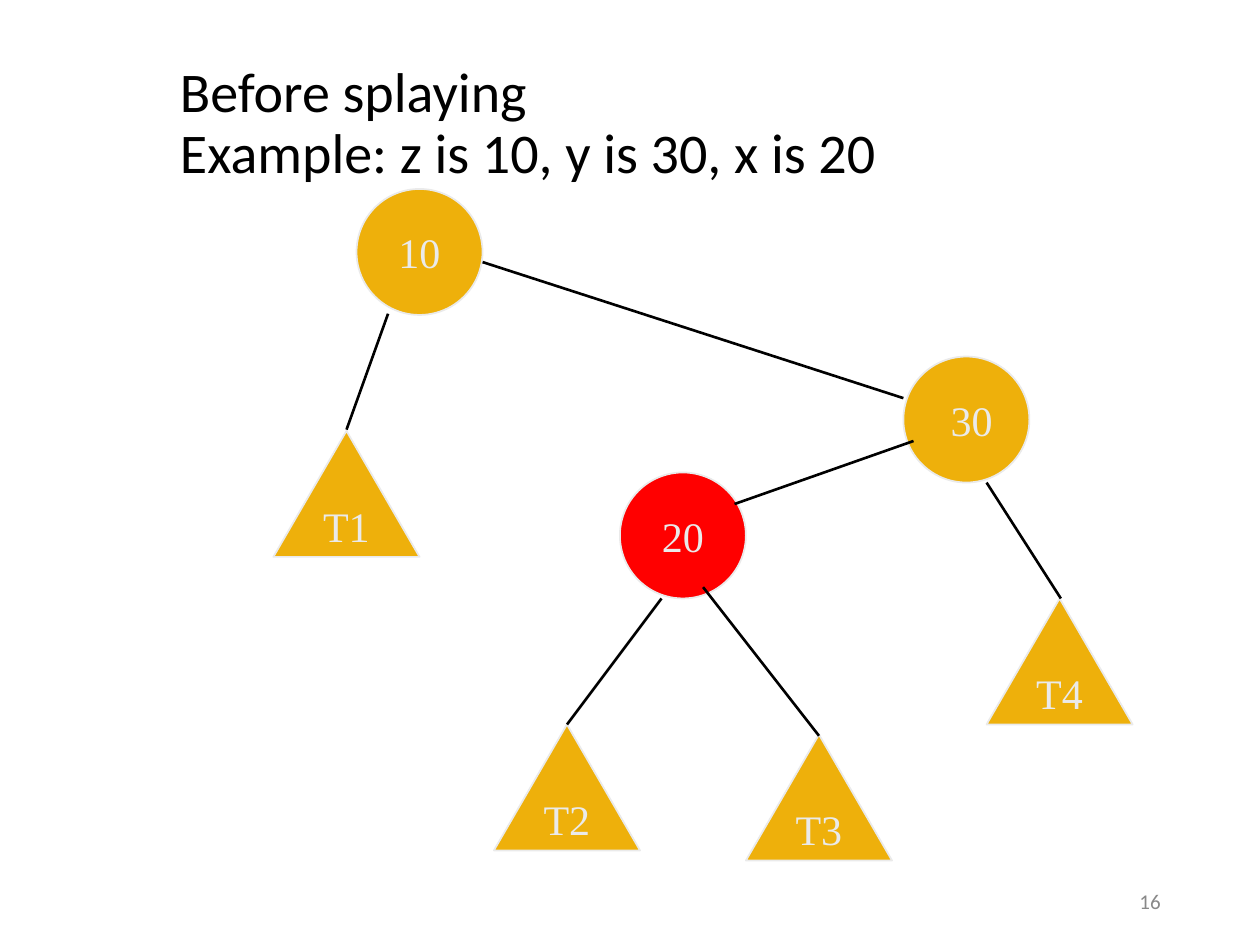
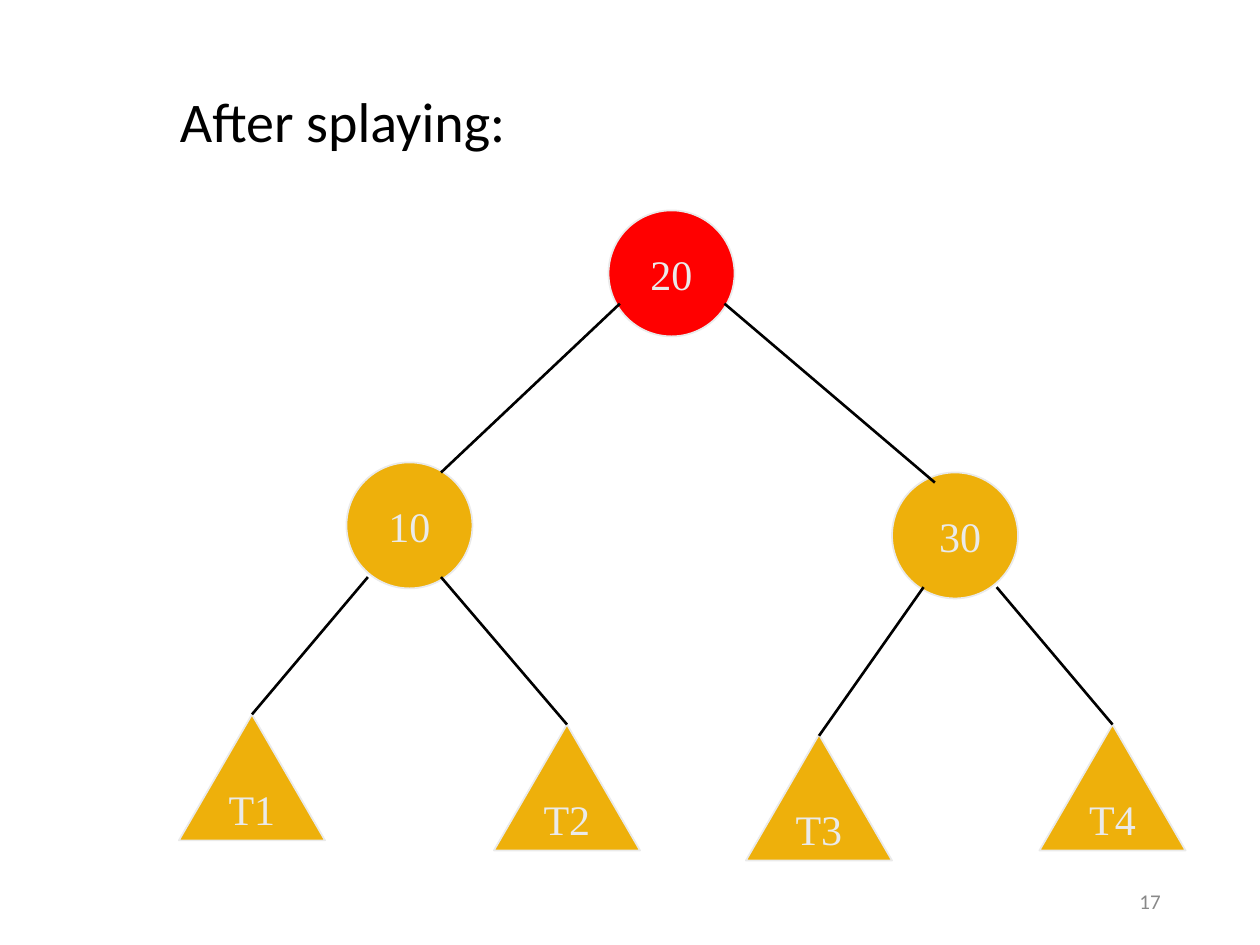
"""Build two slides showing a tree before and after splaying."""
from lxml.etree import SubElement as Sub
from pptx import Presentation
from pptx.dml.color import RGBColor as RGB
from pptx.enum.shapes import MSO_CONNECTOR as Link, MSO_SHAPE as Form
from pptx.enum.text import MSO_ANCHOR as Anchor, PP_ALIGN as Align
from pptx.oxml.ns import qn
from pptx.util import Inches, Pt

hues = {"gold": "EEB00B", "red": "FF0000", "pale": "EAEAEA", "black": "000000", "gray": "898989"}
looks = {
    "title": {"font": {"name": "Calibri", "size": Pt(32)}, "hue": "black", "wrap": True,
              "para": {"alignment": Align.LEFT, "line_spacing": 0.9}},
    "page": {"font": {"name": "Calibri", "size": Pt(12)}, "hue": "gray", "wrap": True,
             "para": {"alignment": Align.RIGHT}},
    "node": {"font": {"name": "Times New Roman", "size": Pt(24)}, "hue": "pale", "wrap": False,
             "para": {"alignment": Align.CENTER}},
}
forms = {"circle": (Form.OVAL, 1), "leaf": (Form.ISOSCELES_TRIANGLE, 1.16)}

slides = [
    {"title": "Before splaying \vExample: z is 10, y is 30, x is 20", "page": "16",
     "nodes": [("10", "circle", "gold", 2.83, 1.5), ("20", "circle", "red", 4.92, 3.75),
               (" 30", "circle", "gold", 7.17, 2.83), ("T1", "leaf", "gold", 2.17, 3.42),
               ("T2", "leaf", "gold", 3.92, 5.75), ("T3", "leaf", "gold", 5.92, 5.83),
               ("T4", "leaf", "gold", 7.83, 4.75)],
     "edges": [(3.83, 2.08, 7.17, 3.16), (3.08, 2.49, 2.75, 3.41), (7.25, 3.5, 5.83, 4),
               (7.83, 3.83, 8.42, 4.75), (5.25, 4.75, 4.5, 5.75), (5.58, 4.66, 6.5, 5.84)]},
    {"title": "After splaying:", "page": "17",
     "nodes": [("10", "circle", "gold", 2.75, 3.67), ("20", "circle", "red", 4.83, 1.67),
               (" 30", "circle", "gold", 7.08, 3.75), ("T1", "leaf", "gold", 1.42, 5.67),
               ("T2", "leaf", "gold", 3.92, 5.75), ("T3", "leaf", "gold", 5.92, 5.83),
               ("T4", "leaf", "gold", 8.25, 5.75)],
     "edges": [(4.92, 2.41, 3.5, 3.75), (5.75, 2.41, 7.42, 3.83), (2.92, 4.58, 2, 5.67),
               (3.5, 4.58, 4.5, 5.75), (7.33, 4.66, 6.5, 5.84), (7.91, 4.66, 8.83, 5.75)]},
]


def write(shape, text, kind):
    look, frame = looks[kind], shape.text_frame
    frame.text = text
    frame.word_wrap = look["wrap"]
    frame.vertical_anchor = Anchor.MIDDLE
    para = frame.paragraphs[0]
    for key, val in look["para"].items():
        setattr(para, key, val)
    for run in para.runs:
        for key, val in look["font"].items():
            setattr(run.font, key, val)
        run.font.color.rgb = RGB.from_string(hues[look["hue"]])


def stroke(line, hue, width):
    line.color.rgb = RGB.from_string(hues[hue])
    line.width = Pt(width)


deck = Presentation()
deck.slide_width, deck.slide_height = Inches(10), Inches(7.5)
boxes = {"title": (1.33, 0.33, 8.5, 1.32), "page": (7.06, 6.95, 2.25, 0.4)}

for data in slides:
    slide = deck.slides.add_slide(deck.slide_layouts[6])
    shapes = slide.shapes
    for kind, box in boxes.items():
        write(shapes.add_textbox(*map(Inches, box)), data[kind], kind)
    for text, form, hue, left, top in data["nodes"]:
        preset, width = forms[form]
        node = shapes.add_shape(preset, *map(Inches, (left, top, width, 1)))
        node.shadow.inherit = False
        node.fill.solid()
        node.fill.fore_color.rgb = RGB.from_string(hues[hue])
        stroke(node.line, "pale", 1)
        write(node, text, "node")
    for ends in data["edges"]:
        edge = shapes.add_connector(Link.STRAIGHT, *map(Inches, ends))
        stroke(edge.line, "black", 1.5)
        Sub(edge._element.spPr, qn("a:effectLst"))

deck.save("out.pptx")
